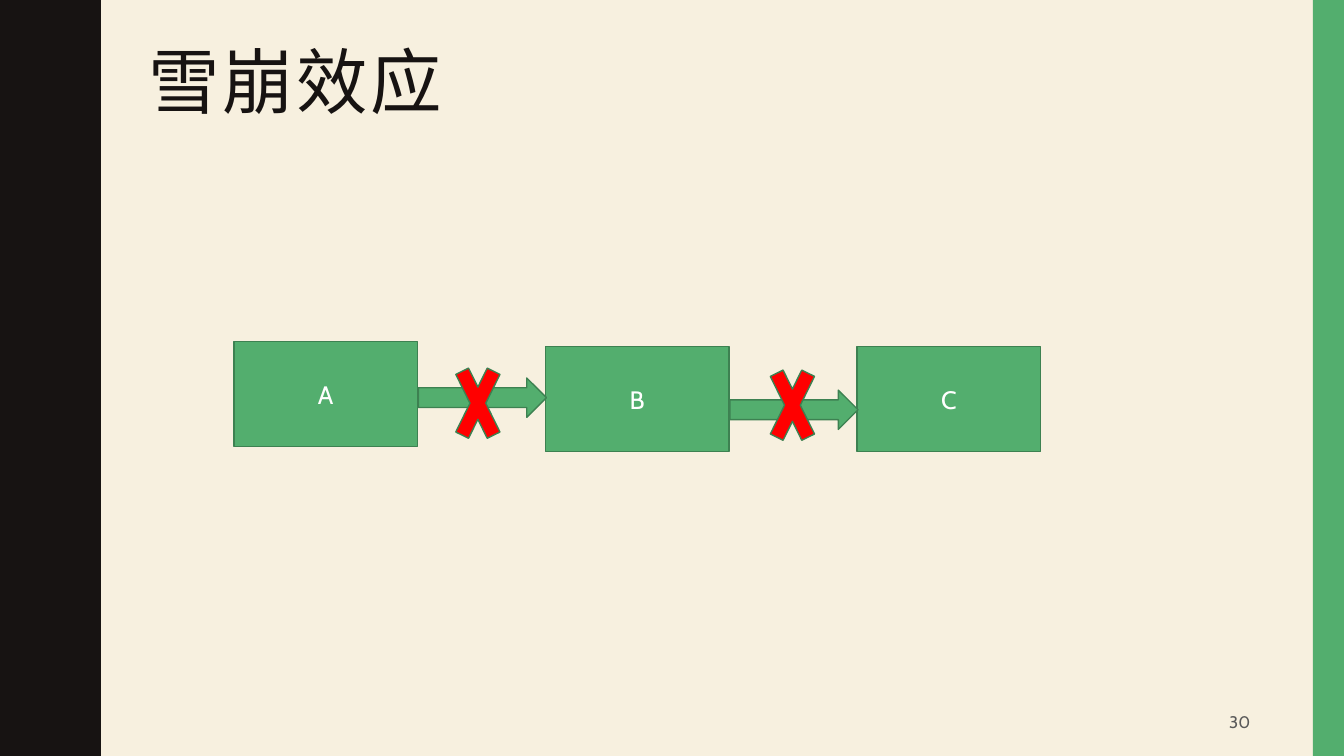
from pptx import Presentation
from pptx.dml.color import RGBColor
from pptx.enum.shapes import MSO_SHAPE as Kind
from pptx.enum.text import MSO_ANCHOR as Anchor, PP_ALIGN as Align
from pptx.oxml.ns import qn
from pptx.util import Inches, Pt

# Content
TITLE = "雪崩效应"
NUMBER = "30"
NODES = [("A", 3.39), ("B", 3.44), ("C", 3.44)]  # label, top
ARROWS = [3.75, 3.87]  # tops
CROSSES = [(4.44, 3.39), (7.56, 3.41)]  # left, top

COLORS = {"paper": "F7F0DF", "ink": "171312", "green": "53AE6E", "edge": "3D8151",
          "red": "FF0000", "gray": "595959", "white": "FFFFFF"}
HEAD, BODY = "Roboto Condensed", "Cabin"

# Layout in inches
WIDE, HIGH = 13.33, 7.5
LEFT, STEP = 2.32, 3.09
NODE_W, NODE_H = 1.82, 1.04
ARROW_W, ARROW_H = 1.27, 0.39
CROSS_W, CROSS_H = 0.6, 1.22
BAR = 0.31
WAVES = 5
RISE = [(0.78, 0), (0.78, 0.07), (0.79, 0.14), (0.8, 0.2), (0.81, 0.25),
        (0.83, 0.29), (0.85, 0.33), (0.87, 0.38), (0.89, 0.42), (0.91, 0.46),
        (0.93, 0.5), (0.95, 0.55), (0.96, 0.61), (0.97, 0.68), (0.97, 0.75)]


def color(name):
    return RGBColor.from_string(COLORS[name])


def paint(shape, fill, edge=None):
    shape.shadow.inherit = False
    shape.fill.solid()
    shape.fill.fore_color.rgb = color(fill)
    if edge:
        shape.line.color.rgb = color(edge)
        shape.line.width = Pt(1)
    else:
        shape.line.fill.background()


def draw(kind, box, fill, edge=None):
    shape = slide.shapes.add_shape(kind, *map(Inches, box))
    paint(shape, fill, edge)
    return shape


def write(shape, text, size, font, ink, align, anchor=Anchor.MIDDLE):
    frame = shape.text_frame
    frame.word_wrap = True
    frame.vertical_anchor = anchor
    para = frame.paragraphs[0]
    para.text = text
    para.alignment = align
    para.font.size = Pt(size)
    para.font.name = font
    para.font.color.rgb = color(ink)
    return para


def label(box, *style):
    return write(slide.shapes.add_textbox(*map(Inches, box)), *style)


deck = Presentation()
deck.slide_width, deck.slide_height = Inches(WIDE), Inches(HIGH)
slide = deck.slides.add_slide(deck.slide_layouts[6])
slide.background.fill.solid()
slide.background.fill.fore_color.rgb = color("paper")

# Wavy left edge: each wave rises, then mirrors back
period = HIGH / WAVES
wave = RISE + [(x, period - y) for x, y in RISE[-2:0:-1]]
edge = [(x, y + n * period) for n in range(WAVES) for x, y in wave]
pen = slide.shapes.build_freeform(0, 0, scale=Inches(1))
pen.add_line_segments(edge + [(RISE[0][0], HIGH), (0, HIGH)], close=True)
paint(pen.convert_to_shape(), "ink")

# Right bar
draw(Kind.RECTANGLE, (WIDE - BAR, 0, BAR, HIGH), "green")

# Title and page number
title = label((1.37, 0.42, 11.13, 1.63), TITLE, 51, HEAD, "ink", Align.LEFT, Anchor.TOP)
title.line_spacing = 0.9
title._p.pPr.find(qn("a:defRPr")).set("spc", "200")
label((9.42, 6.97, 3.08, 0.38), NUMBER, 12, BODY, "gray", Align.RIGHT)

# Chain of nodes, arrows and crosses
for i, (name, top) in enumerate(NODES):
    node = draw(Kind.RECTANGLE, (LEFT + i * STEP, top, NODE_W, NODE_H), "green", "edge")
    write(node, name, 18, BODY, "white", Align.CENTER)
for i, top in enumerate(ARROWS):
    left = LEFT + NODE_W + 0.01 + i * STEP
    draw(Kind.RIGHT_ARROW, (left, top, ARROW_W, ARROW_H), "green", "edge")
for left, top in CROSSES:
    draw(Kind.MATH_MULTIPLY, (left, top, CROSS_W, CROSS_H), "red", "edge")

deck.save("out.pptx")
